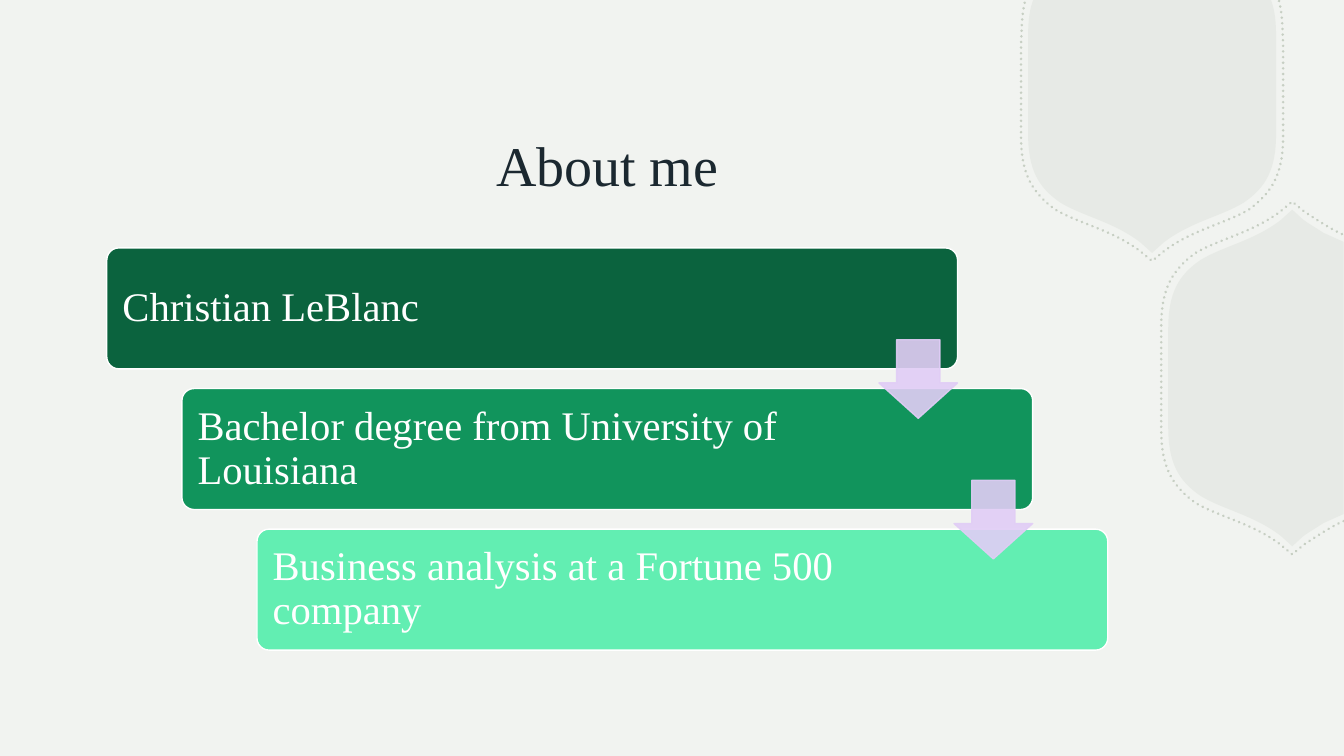
"""Build the "About me" slide: three descending steps beside hexagons."""
import pptx
import pptx.util
from lxml import etree
from pptx.dml.color import RGBColor
from pptx.enum.dml import MSO_LINE
from pptx.enum.shapes import MSO_SHAPE
from pptx.enum.text import MSO_ANCHOR, PP_ALIGN
from pptx.oxml.ns import qn
from pptx.util import Inches, Pt

PAPER = RGBColor(0xF1, 0xF3, 0xF0)
SAGE = RGBColor(0xB2, 0xBD, 0xAD)
INK = RGBColor(0x1B, 0x28, 0x30)
WHITE = RGBColor(0xFF, 0xFF, 0xFF)
LILAC = RGBColor(0xE1, 0xCD, 0xF6)
FONT = "Times New Roman"
WIDTH, HEIGHT = 40 / 3, 7.5

TITLE = "About me"
STEPS = [
    ("Christian LeBlanc", RGBColor(0x0B, 0x63, 0x3E)),
    ("Bachelor degree from University of Louisiana", RGBColor(0x11, 0x94, 0x5C)),
    ("Business analysis at a Fortune 500 company", RGBColor(0x62, 0xEE, 0xB2)),
]
STEP_X, STEP_Y = 0.745, 1.395

TOP_CENTER, SIDE_CENTER = (11.43, 0.84), (12.82, 3.75)
CORNER_KINDS = "CCL"
FILLED = {
    "corner": [(1.23, 0.49), (1.23, 0.84), (1.13, 1.02), (0.91, 1.17),
               (0.68, 1.31), (0.38, 1.36), (0.11, 1.57), (0, 1.67)],
    "top_cut": ([(1.18, -0.84), (1.19, -0.81), (1.22, -0.72), (1.23, -0.61),
                 (1.23, -0.48)], "LC"),
    "side_cut": ([(0.51, 1.35), (0.31, 1.44), (0.25, 1.48), (0.18, 1.52),
                  (0.11, 1.57)], "LC"),
}
DOTTED = {
    "corner": [(1.3, 0.51), (1.3, 0.89), (1.19, 1.07), (0.96, 1.24),
               (0.72, 1.38), (0.4, 1.44), (0.12, 1.65), (0, 1.75)],
    "top_cut": ([(1.26, -0.83), (1.3, -0.66), (1.29, -0.55), (1.3, -0.41)], "C"),
    "side_cut": ([(0.51, 1.42), (0.37, 1.48), (0.2, 1.6), (0.12, 1.65)], "C"),
}


def top_hexagon(ring):
    """Return the outline that the top edge cuts, mirrored left to right."""
    cut, kinds = ring["top_cut"]
    half = cut + ring["corner"]
    kinds += "L" + CORNER_KINDS
    mirrored = [(-x, y) for x, y in reversed(half)]
    return TOP_CENTER, half + mirrored[1:], kinds + kinds[::-1]


def side_hexagon(ring):
    """Return the outline that the right edge cuts, mirrored top to bottom."""
    cut, kinds = ring["side_cut"]
    half = cut + [(-x, y) for x, y in reversed(ring["corner"])]
    kinds += "L" + CORNER_KINDS[::-1]
    mirrored = [(x, -y) for x, y in reversed(half)]
    return SIDE_CENTER, half + mirrored, kinds + "L" + kinds[::-1]


def freeform(s, outline, close):
    """Draw an outline of straight (L) and curved (C) segments."""
    (cx, cy), points, kinds = outline
    emu = [(Inches(cx + x), Inches(cy + y)) for x, y in points]
    builder = s.shapes.build_freeform(*emu[0], scale=1.0)
    builder.add_line_segments(emu[1:], close=close)
    sp = builder.convert_to_shape()
    sp.shadow.inherit = False
    segments = iter(list(sp._element.iter(qn("a:lnTo"))))
    for kind in kinds:
        segment = next(segments)
        if kind == "C":
            segment.tag = qn("a:cubicBezTo")
            for _ in range(2):
                control = next(segments)
                segment.append(control[0])
                control.getparent().remove(control)
    return sp


def set_alpha(sp, percent):
    """Set the opacity of every solid colour of a shape."""
    for color in sp._element.spPr.iter(qn("a:srgbClr")):
        etree.SubElement(color, qn("a:alpha")).set("val", str(percent * 1000))


def preset(s, kind, box, adjustments, fill, line):
    """Add a preset shape with a solid fill and a 1 pt line."""
    sp = s.shapes.add_shape(kind, *map(Inches, box))
    sp.shadow.inherit = False
    for i, value in enumerate(adjustments):
        sp.adjustments[i] = value
    sp.fill.solid()
    sp.fill.fore_color.rgb = fill
    sp.line.color.rgb = line
    sp.line.width = Pt(1)
    return sp


def write(sp, text, size, color, frame, paragraph):
    """Write one formatted paragraph into a shape."""
    tf = sp.text_frame
    p = tf.paragraphs[0]
    r = p.add_run()
    r.text = text
    r.font.color.rgb = color
    font = {"size": Pt(size), "name": FONT}
    for target, formats in ((tf, frame), (p, paragraph), (r.font, font)):
        for name, value in formats.items():
            setattr(target, name, value)


def add_hexagons(s):
    """Draw the filled hexagons and their dotted outlines."""
    for hexagon in (top_hexagon, side_hexagon):
        sp = freeform(s, hexagon(FILLED), True)
        sp.fill.solid()
        sp.fill.fore_color.rgb = SAGE
        sp.line.fill.background()
        set_alpha(sp, 15)
    for hexagon in (top_hexagon, side_hexagon):
        sp = freeform(s, hexagon(DOTTED), False)
        sp.fill.background()
        sp.line.color.rgb = SAGE
        sp.line.width = Pt(2)
        sp.line.dash_style = MSO_LINE.ROUND_DOT
        sp._element.spPr.find(qn("a:ln")).set("cap", "rnd")
        set_alpha(sp, 65)


def add_title(s):
    """Place the title in front of the hexagons."""
    title = s.shapes.title
    s.shapes._spTree.append(title._element)
    box = dict(left=1.06, top=1.05, width=9.93, height=1.16)
    for name, value in box.items():
        setattr(title, name, Inches(value))
    write(title, TITLE, 40, INK,
          dict(vertical_anchor=MSO_ANCHOR.MIDDLE, word_wrap=True),
          dict(alignment=PP_ALIGN.CENTER))


def add_steps(s):
    """Add the staircase of cards and the arrows between them."""
    frame = dict(vertical_anchor=MSO_ANCHOR.MIDDLE, word_wrap=True,
                 margin_left=Inches(0.12), margin_right=Inches(1.65),
                 margin_top=Inches(0.12), margin_bottom=Inches(0.12))
    for i, (text, fill) in enumerate(STEPS):
        box = (1.06 + i * STEP_X, 2.46 + i * STEP_Y, 8.44, 1.2)
        card = preset(s, MSO_SHAPE.ROUNDED_RECTANGLE, box, [0.1], fill, WHITE)
        write(card, text, 29, WHITE, frame,
              dict(alignment=PP_ALIGN.LEFT, line_spacing=0.9))
    for i in range(len(STEPS) - 1):
        box = (8.72 + i * STEP_X, 3.37 + i * STEP_Y, 0.78, 0.78)
        arrow = preset(s, MSO_SHAPE.DOWN_ARROW, box, [0.55, 0.45], LILAC, LILAC)
        set_alpha(arrow, 90)


def main():
    """Build and save the slide."""
    prs = pptx.Presentation()
    prs.slide_width, prs.slide_height = Inches(WIDTH), Inches(HEIGHT)
    s = prs.slides.add_slide(prs.slide_layouts[5])
    s.background.fill.solid()
    s.background.fill.fore_color.rgb = PAPER
    add_hexagons(s)
    add_title(s)
    add_steps(s)
    prs.save("out.pptx")


if __name__ == "__main__":
    main()
